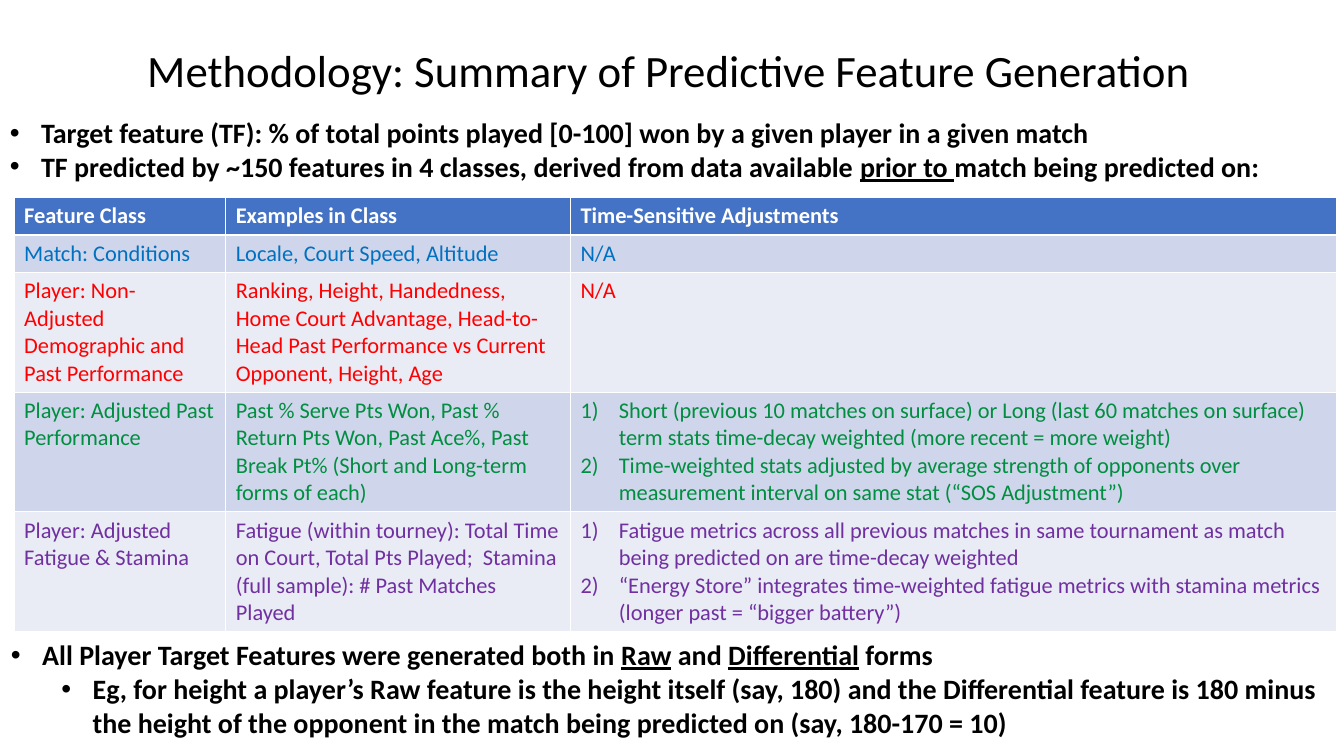
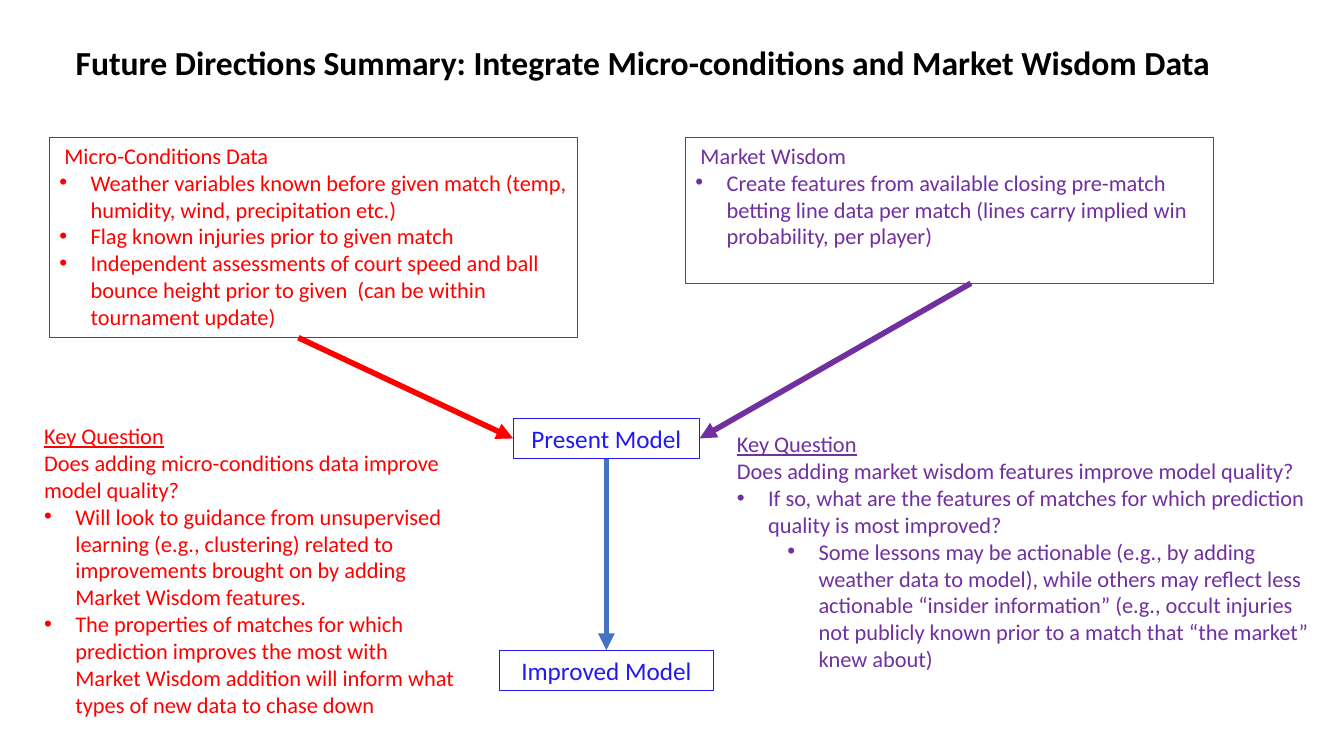
from lxml import etree
from pptx import Presentation
from pptx import util as u
from pptx.dml.color import RGBColor
from pptx.enum import shapes, text
from pptx.oxml.ns import qn

WIDE, HIGH = u.Inches(13.33), u.Inches(7.5)
FACE = "Calibri"
BLACK, WHITE = "000000", "FFFFFF"
RED, PURPLE, GREEN = "FF0000", "7030A0", "008E40"
SKY, BLUE, INK = "0070C0", "4472C4", "2218F0"
BANDS = ("CFD5EA", "E9EBF5")
MARKS = {
    "** ": (1, 0.81, -0.31, "buChar", {"char": "•"}),
    "* ": (0, 0.31, -0.31, "buChar", {"char": "•"}),
    "1) ": (0, 0.38, -0.38, "buAutoNum", {"type": "arabicParenR"}),
}

TARGET = [
    "* Target feature (TF): % of total points played [0-100] won by a given player in a given match",
    "* TF predicted by ~150 features in 4 classes, derived from data available _prior to _match being predicted on:",
]
FORMS = [
    "* All Player Target Features were generated both in _Raw_ and _Differential_ forms",
    "** Eg, for height a player’s Raw feature is the height itself (say, 180) and the Differential feature is 180 minus the height of the opponent in the match being predicted on (say, 180-170 = 10)",
]
ROWS = [
    (WHITE, 4.5, [["Feature Class"], ["Examples in Class"], ["Time-Sensitive Adjustments"]]),
    (SKY, 4.5, [["Match: Conditions"], ["Locale, Court Speed, Altitude"], ["N/A"]]),
    (RED, 14.2, [
        ["Player: Non-Adjusted Demographic and Past Performance"],
        ["Ranking, Height, Handedness, Home Court Advantage, Head-to-Head Past Performance vs Current Opponent, Height, Age"],
        ["N/A"]]),
    (GREEN, 15.7, [
        ["Player: Adjusted Past Performance"],
        ["Past % Serve Pts Won, Past %",
         "Return Pts Won, Past Ace%, Past Break Pt% (Short and Long-term forms of each)"],
        ["1) Short (previous 10 matches on surface) or Long (last 60 matches on surface) term stats time-decay weighted (more recent = more weight)",
         "1) Time-weighted stats adjusted by average strength of opponents over measurement interval on same stat (“SOS Adjustment”)"]]),
    (PURPLE, 14.2, [
        ["Player: Adjusted Fatigue & Stamina"],
        ["Fatigue (within tourney): Total Time on Court, Total Pts Played;  Stamina (full sample): # Past Matches Played"],
        ["1) Fatigue metrics across all previous matches in same tournament as match being predicted on are time-decay weighted",
         "1) “Energy Store” integrates time-weighted fatigue metrics with stamina metrics (longer past = “bigger battery”)"]]),
]
MICRO = [
    " Micro-Conditions Data",
    "* Weather variables known before given match (temp, humidity, wind, precipitation etc.)",
    "* Flag known injuries prior to given match",
    "* Independent assessments of court speed and ball bounce height prior to given  (can be within tournament update)",
]
MARKET = [
    " Market Wisdom",
    "* Create features from available closing pre-match betting line data per match (lines carry implied win probability, per player)",
]
ASK_MICRO = [
    "_Key Question_",
    "Does adding micro-conditions data improve model quality?",
    "* Will look to guidance from unsupervised learning (e.g., clustering) related to improvements brought on by adding Market Wisdom features.",
    "* The properties of matches for which prediction improves the most with Market Wisdom addition will inform what types of new data to chase down",
]
ASK_MARKET = [
    "_Key Question_",
    "Does adding market wisdom features improve model quality?",
    "* If so, what are the features of matches for which prediction quality is most improved?",
    "** Some lessons may be actionable (e.g., by adding weather data to model), while others may reflect less actionable “insider information” (e.g., occult injuries not publicly known prior to a match that “the market” knew about)",
]


def tint(code):
    return RGBColor.from_string(code)


def across(share):
    return u.Emu(round(WIDE * share / 100))


def down(share):
    return u.Emu(round(HIGH * share / 100))


def area(left, top, width, height):
    return across(left), down(top), across(width), down(height)


def paint(item, code):
    item.fill.solid()
    item.fill.fore_color.rgb = tint(code)


def mark(para, line):
    for sign, (level, left, hang, kind, attrs) in MARKS.items():
        if line.startswith(sign):
            para.level = level
            props = para._p.get_or_add_pPr()
            props.set("marL", str(u.Inches(left)))
            props.set("indent", str(u.Inches(hang)))
            etree.SubElement(props, qn("a:buFont"), typeface="Arial")
            etree.SubElement(props, qn(f"a:{kind}"), attrs)
            return line[len(sign):]
    return line


def write(frame, lines, size, code, bold=False, align=text.PP_ALIGN.LEFT):
    frame.word_wrap = True
    frame.vertical_anchor = text.MSO_ANCHOR.TOP
    for index, line in enumerate(lines):
        para = frame.add_paragraph() if index else frame.paragraphs[0]
        para.alignment = align
        line = mark(para, line)
        font = para.font
        font.name, font.size, font.bold = FACE, u.Pt(size), bold
        font.color.rgb = tint(code)
        for part, words in enumerate(line.split("_")):
            if words:
                run = para.add_run()
                run.text = words
                if part % 2:
                    run.font.underline = True


def start(deck, title, spot, size, bold=False):
    slide = deck.slides.add_slide(deck.slide_layouts[5])
    head = slide.shapes.title
    head.left, head.top, head.width, head.height = area(*spot)
    write(head.text_frame, [title], size, BLACK, bold)
    head.text_frame.word_wrap = False
    head.text_frame.auto_size = text.MSO_AUTO_SIZE.NONE
    return slide


def note(slide, spot, lines, size, code, bold=False):
    shape = slide.shapes.add_textbox(*area(*spot))
    write(shape.text_frame, lines, size, code, bold)


def box(slide, spot, lines, size, code, align=text.PP_ALIGN.LEFT):
    shape = slide.shapes.add_shape(shapes.MSO_SHAPE.RECTANGLE, *area(*spot))
    shape.shadow.inherit = False
    paint(shape, WHITE)
    shape.line.color.rgb = tint(code)
    shape.line.width = u.Pt(0.75)
    write(shape.text_frame, lines, size, code, align=align)
    return shape


def arrow(slide, left, top, goal, site, code):
    link = slide.shapes.add_connector(
        shapes.MSO_CONNECTOR.STRAIGHT, left, top, goal.left, goal.top)
    link.end_connect(goal, site)
    link.line.color.rgb = tint(code)
    link.line.width = u.Pt(4)
    etree.SubElement(link.line._get_or_add_ln(), qn("a:tailEnd"), type="triangle")
    etree.SubElement(link._element.spPr, qn("a:effectLst"))


def grid(slide, left, top, widths, rows):
    spot = area(left, top, sum(widths), sum(row[1] for row in rows))
    table = slide.shapes.add_table(len(rows), len(widths), *spot).table
    for col, width in zip(table.columns, widths):
        col.width = across(width)
    for index, (code, height, cells) in enumerate(rows):
        table.rows[index].height = down(height)
        for col, lines in enumerate(cells):
            cell = table.cell(index, col)
            paint(cell, BANDS[(index - 1) % 2] if index else BLUE)
            write(cell.text_frame, lines, 16, code, bold=index == 0)


def method(deck):
    slide = start(deck, "Methodology: Summary of Predictive Feature Generation",
                  (10.2, 4.93, 80, 8.53), 32)
    grid(slide, 1.05, 26.13, (15.75, 25.65, 57), ROWS)
    note(slide, (0, 14.67, 100, 10.27), TARGET, 20, BLACK, True)
    note(slide, (0.08, 83.73, 100, 14.8), FORMS, 20, BLACK, True)


def future(deck):
    slide = start(
        deck,
        "Future Directions Summary: Integrate Micro-conditions and Market Wisdom Data",
        (4.88, 4.93, 89, 6.67), 24, True)
    mid = text.PP_ALIGN.CENTER
    box(slide, (3.68, 18.13, 39.31, 26.53), MICRO, 16, RED)
    box(slide, (51.01, 18.13, 39.31, 19.33), MARKET, 16, PURPLE)
    now = box(slide, (38.18, 55.33, 13.88, 5.33), ["Present Model"], 18, INK, mid)
    goal = box(slide, (37.13, 86, 15.98, 5.33), ["Improved Model"], 18, INK, mid)
    arrow(slide, across(22.2), down(44.67), now, 1, RED)
    arrow(slide, across(72.24), down(37.47), now, 3, PURPLE)
    arrow(slide, now.left + now.width // 2, now.top + now.height, goal, 0, BLUE)
    note(slide, (54.09, 56.27, 45.31, 33.6), ASK_MARKET, 16, PURPLE)
    note(slide, (2.55, 55.2, 32.11, 44.4), ASK_MICRO, 16, RED)


def main():
    deck = Presentation()
    deck.slide_width, deck.slide_height = WIDE, HIGH
    method(deck)
    future(deck)
    deck.save("out.pptx")


if __name__ == "__main__":
    main()
